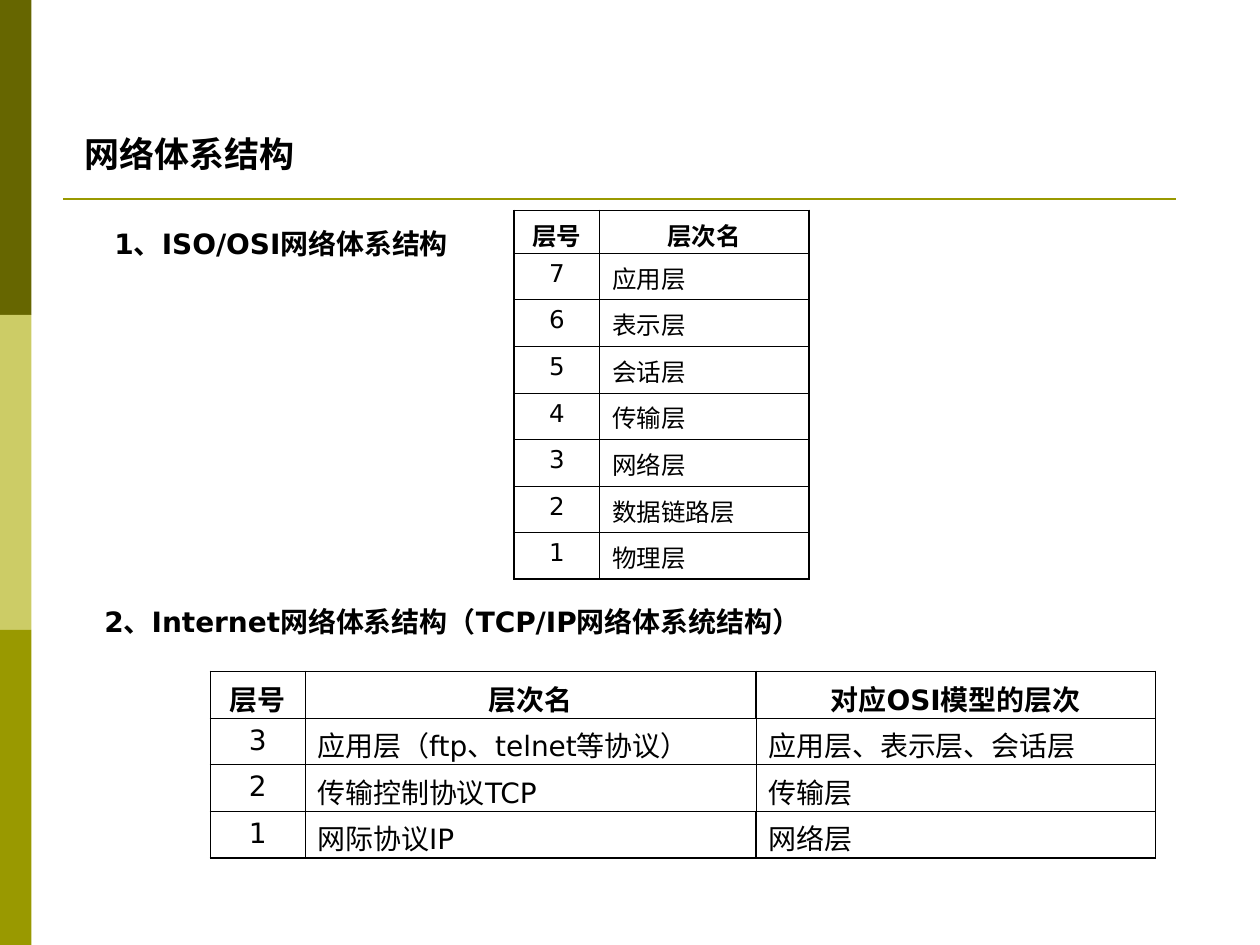
import pptx
import pptx.util
import pptx.dml.color
import pptx.enum.shapes
import pptx.enum.text
import pptx.oxml.ns
from lxml import etree

Inches, Pt = pptx.util.Inches, pptx.util.Pt
RGBColor = pptx.dml.color.RGBColor
PP_ALIGN = pptx.enum.text.PP_ALIGN
ANCHOR = pptx.enum.text.MSO_ANCHOR
qn = pptx.oxml.ns.qn

FONT = "DejaVu Sans"
BLACK = RGBColor(0x00, 0x00, 0x00)
DARK_OLIVE = RGBColor(0x66, 0x66, 0x00)
PALE_OLIVE = RGBColor(0xCC, 0xCC, 0x66)
OLIVE = RGBColor(0x99, 0x99, 0x00)
THIN, HEAVY = 0.45, 1.08

TITLE = "网络体系结构"
HEADINGS = [
    ("1、ISO/OSI网络体系结构", (0.81, 1.75, 2.89, 0.64)),
    ("2、Internet网络体系结构（TCP/IP网络体系统结构）", (0.73, 4.75, 5.78, 0.37)),
]
OSI_NAMES = ["应用层", "表示层", "会话层", "传输层", "网络层", "数据链路层", "物理层"]
OSI_ROWS = [("层号", "层次名")] + [
    (str(len(OSI_NAMES) - i), name) for i, name in enumerate(OSI_NAMES)]
TCP_IP_ROWS = [
    ("层号", "层次名", "对应OSI模型的层次"),
    ("3", "应用层（ftp、telnet等协议）", "应用层、表示层、会话层"),
    ("2", "传输控制协议TCP", "传输层"),
    ("1", "网际协议IP", "网络层"),
]
LAYER_TABLES = [
    dict(rows=OSI_ROWS, left=4.08, top=1.67, widths=(0.68, 1.66),
         header_height=0.34, size=14, heavy_dividers=set()),
    # heavy_dividers: (row, column) of cells whose inner right edge is heavy
    dict(rows=TCP_IP_ROWS, left=1.67, top=5.33, widths=(0.75, 3.58, 3.17),
         header_height=0.37, size=16, heavy_dividers={(0, 1), (3, 1)}),
]
ROW_HEIGHT = 0.37


def write(paragraph, text, size, bold):
    run = paragraph.add_run()
    run.text = text
    run.font.name = FONT
    run.font.size = Pt(size)
    run.font.bold = bold
    run.font.color.rgb = BLACK


def set_borders(cell, widths):
    """Draw the left, right, top and bottom borders, given in points."""
    properties = cell._tc.get_or_add_tcPr()
    for side, width in zip("LRTB", widths):
        border = etree.SubElement(properties, qn(f"a:ln{side}"), w=str(Pt(width)))
        fill = etree.SubElement(border, qn("a:solidFill"))
        etree.SubElement(fill, qn("a:srgbClr"), val=str(BLACK))


def add_layer_table(slide, rows, left, top, widths, header_height, size,
                    heavy_dividers):
    heights = [header_height] + [ROW_HEIGHT] * (len(rows) - 1)
    table = slide.shapes.add_table(
        len(rows), len(widths), Inches(left), Inches(top),
        Inches(sum(widths)), Inches(sum(heights))).table
    table.horz_banding = False
    for column, width in zip(table.columns, widths):
        column.width = Inches(width)
    for row, height in zip(table.rows, heights):
        row.height = Inches(height)

    last_row, last_column = len(rows) - 1, len(widths) - 1
    for r, texts in enumerate(rows):
        for c, text in enumerate(texts):
            cell = table.cell(r, c)
            heavy = (c == 0 or (r, c - 1) in heavy_dividers,
                     c == last_column or (r, c) in heavy_dividers,
                     r == 0, r == last_row)
            set_borders(cell, [HEAVY if edge else THIN for edge in heavy])
            cell.fill.background()
            paragraph = cell.text_frame.paragraphs[0]
            paragraph.space_before = Pt(size / 4)
            centred = r == 0 or c == 0
            paragraph.alignment = PP_ALIGN.CENTER if centred else PP_ALIGN.LEFT
            write(paragraph, text, size, r == 0)


def add_side_bands(slide):
    for i, color in enumerate((DARK_OLIVE, PALE_OLIVE, OLIVE)):
        band = slide.shapes.add_shape(
            pptx.enum.shapes.MSO_SHAPE.RECTANGLE,
            0, Inches(2.5 * i), Inches(0.25), Inches(2.5))
        band.shadow.inherit = False
        band.fill.solid()
        band.fill.fore_color.rgb = color
        band.line.fill.background()


def add_title_rule(slide):
    rule = slide.shapes.add_connector(
        pptx.enum.shapes.MSO_CONNECTOR.STRAIGHT,
        Inches(0.5), Inches(1.58), Inches(9.33), Inches(1.58))
    rule.line.color.rgb = OLIVE
    rule.line.width = Pt(1.5)
    etree.SubElement(rule._element.spPr, qn("a:effectLst"))


def add_title(slide):
    title = slide.shapes.title
    title.left, title.top = Inches(0.57), Inches(1)
    title.width, title.height = Inches(1.87), Inches(0.44)
    frame = title.text_frame
    frame.word_wrap = False
    frame.vertical_anchor = ANCHOR.TOP
    frame.paragraphs[0].alignment = PP_ALIGN.LEFT
    write(frame.paragraphs[0], TITLE, 20, True)


def main():
    deck = pptx.Presentation()
    deck.slide_width, deck.slide_height = Inches(10), Inches(7.5)
    slide = deck.slides.add_slide(deck.slide_layouts.get_by_name("Title Only"))
    add_side_bands(slide)
    add_title_rule(slide)
    add_title(slide)
    for heading, box in HEADINGS:
        frame = slide.shapes.add_textbox(*map(Inches, box)).text_frame
        frame.word_wrap = True
        write(frame.paragraphs[0], heading, 16, True)
    for layer_table in LAYER_TABLES:
        add_layer_table(slide, **layer_table)
    deck.save("out.pptx")


if __name__ == "__main__":
    main()
